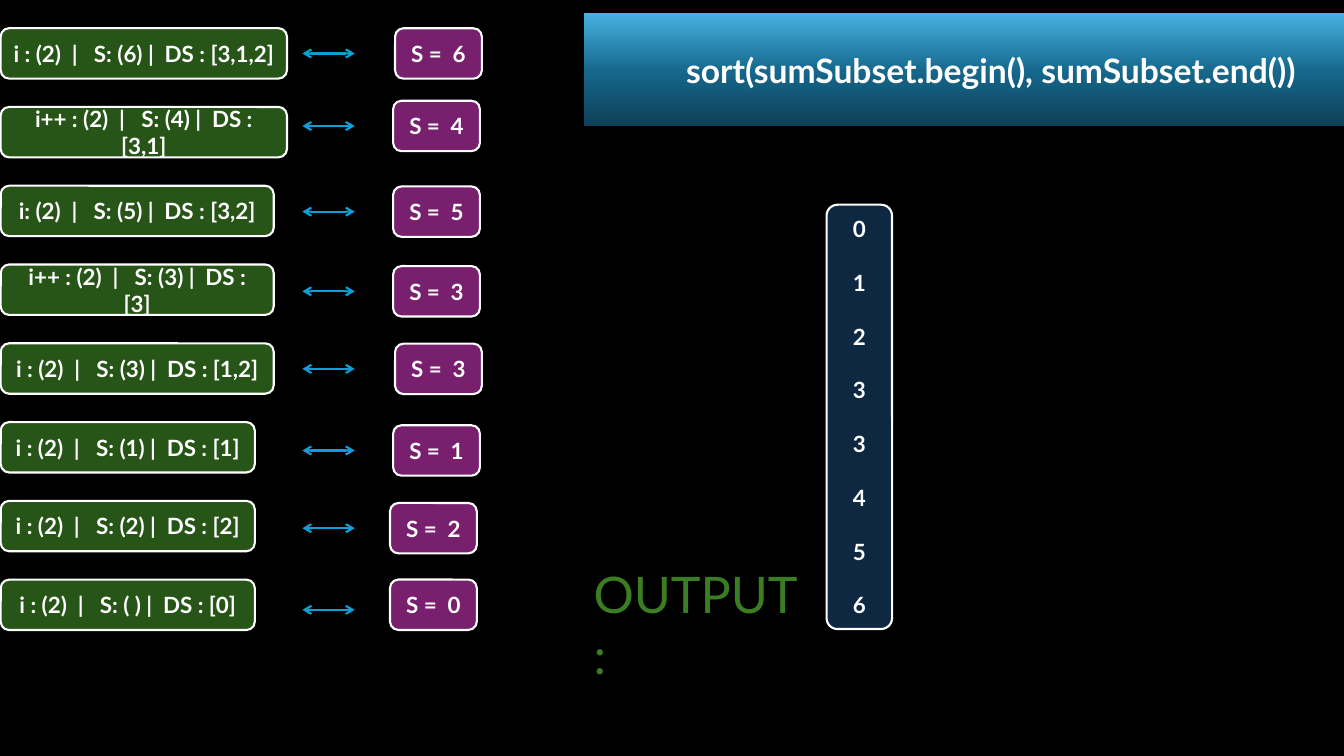
from copy import deepcopy

from lxml import etree
from pptx import Presentation
from pptx.dml.color import RGBColor
from pptx.enum import shapes as es, text as et
from pptx.oxml.ns import qn
from pptx.util import Pt

FONT = "Lato"
WHITE = "FFFFFF"
GREEN = "275417"
PURPLE = "78206E"
NAVY = "0E2841"
SKY = "0F9ED5"
RECT = es.MSO_SHAPE.RECTANGLE
ROUND = es.MSO_SHAPE.ROUNDED_RECTANGLE

ROW_TOP, PITCH, ROW_H = 20.16, 56.27, 36
# state, width, sum, left of sum, top of sum, height of arrow
ROWS = [
    ("i : (2)  |   S: (6) |  DS : [3,1,2]", 204.5, 6, 282.2, 20.2, 38.2),
    ("i++ : (2)  |   S: (4) |  DS : [3,1]", 204.5, 4, 280.8, 72, 90),
    ("i: (2)  |   S: (5) |  DS : [3,2]", 195, 5, 280.8, 133.2, 151.2),
    ("i++ : (2)  |   S: (3) |  DS : [3]", 195, 3, 280.8, 190.1, 208.1),
    ("i : (2)  |   S: (3) |  DS : [1,2]", 195, 3, 282.2, 245.5, 263.5),
    ("i : (2)  |   S: (1) |  DS : [1]", 181.5, 1, 280.8, 303.8, 321.8),
    ("i : (2)  |   S: (2) |  DS : [2]", 181.5, 2, 278.6, 359.3, 377.3),
    ("i : (2)  |   S: ( ) |  DS : [0]", 181.5, 0, 278.6, 414, 435.6),
]


def rgb(code):
    return RGBColor.from_string(code)


def style(par, size, color, bold):
    font = par.font
    font.name, font.size, font.bold = FONT, Pt(size), bold
    font.color.rgb = rgb(color)


def add_box(slide, kind, at, fill, line=None, lines=(), size=16, gap=0):
    """Add a filled shape with centred bold lines, gap points apart."""
    box = slide.shapes.add_shape(kind, *map(Pt, at))
    box.shadow.inherit = False
    box.fill.solid()
    box.fill.fore_color.rgb = rgb(fill)
    if line:
        box.line.color.rgb = rgb(line)
        box.line.width = Pt(1.5)
    else:
        box.line.fill.background()
    frame = box.text_frame
    frame.word_wrap = True
    frame.vertical_anchor = et.MSO_ANCHOR.MIDDLE
    for n, words in enumerate(lines):
        par = frame.add_paragraph() if n else frame.paragraphs[0]
        par.text = words
        par.alignment = et.PP_ALIGN.CENTER
        par.space_before = Pt(gap if n else 0)
        style(par, size, WHITE, True)
    return box


def shade(box, colors, middle):
    """Fill with three colours from bottom to top."""
    fill = box.fill
    fill.gradient()
    fill.gradient_angle = 90
    stops = box.element.spPr.find(qn("a:gradFill")).find(qn("a:gsLst"))
    stops.insert(1, deepcopy(stops[0]))
    for stop, color, spot in zip(fill.gradient_stops, colors, (0, middle, 1)):
        stop.color.rgb = rgb(color)
        stop.position = spot


def add_arrow(slide, left, right, y):
    """Add a level line with an open arrowhead at both ends."""
    arrow = slide.shapes.add_connector(
        es.MSO_CONNECTOR.STRAIGHT, Pt(left), Pt(y), Pt(right), Pt(y))
    arrow.line.color.rgb = rgb(SKY)
    arrow.line.width = Pt(1.5)
    for end in ("a:headEnd", "a:tailEnd"):
        etree.SubElement(arrow.line._get_or_add_ln(), qn(end), type="arrow")
    etree.SubElement(arrow.element.spPr, qn("a:effectLst"))


def add_label(slide, at, words, size, color):
    label = slide.shapes.add_textbox(*map(Pt, at))
    label.text_frame.word_wrap = True
    par = label.text_frame.paragraphs[0]
    par.text = words
    style(par, size, color, False)


def main():
    deck = Presentation()
    deck.slide_width, deck.slide_height = Pt(960), Pt(540)
    slide = deck.slides.add_slide(deck.slide_layouts[6])

    add_box(slide, RECT, (-164, -49, 1270, 645), "000000", "000000")
    for n, (state, width, total, left, top, mid) in enumerate(ROWS):
        add_box(slide, ROUND, (0.5, ROW_TOP + n * PITCH, width, ROW_H),
                GREEN, WHITE, [state])
        add_arrow(slide, 216, 253.4, mid)
        add_box(slide, ROUND, (left, top, 62, ROW_H),
                PURPLE, WHITE, [f"S =  {total}"])

    title = add_box(slide, RECT, (416.9, 9.4, 581.8, 80.6), NAVY, None,
                    ["sort(sumSubset.begin(), sumSubset.end())"], 24)
    shade(title, ("0E4057", "16678B", "46B1E1"), 0.48)
    sums = sorted(row[2] for row in ROWS)
    add_box(slide, ROUND, (590.4, 146.2, 46.8, 303.1), NAVY, WHITE,
            [str(total) for total in sums], gap=19.2)
    add_label(slide, (416.9, 398.9, 163.4, 51.1), "OUTPUT :", 36, "3B7D23")
    deck.save("out.pptx")


if __name__ == "__main__":
    main()
